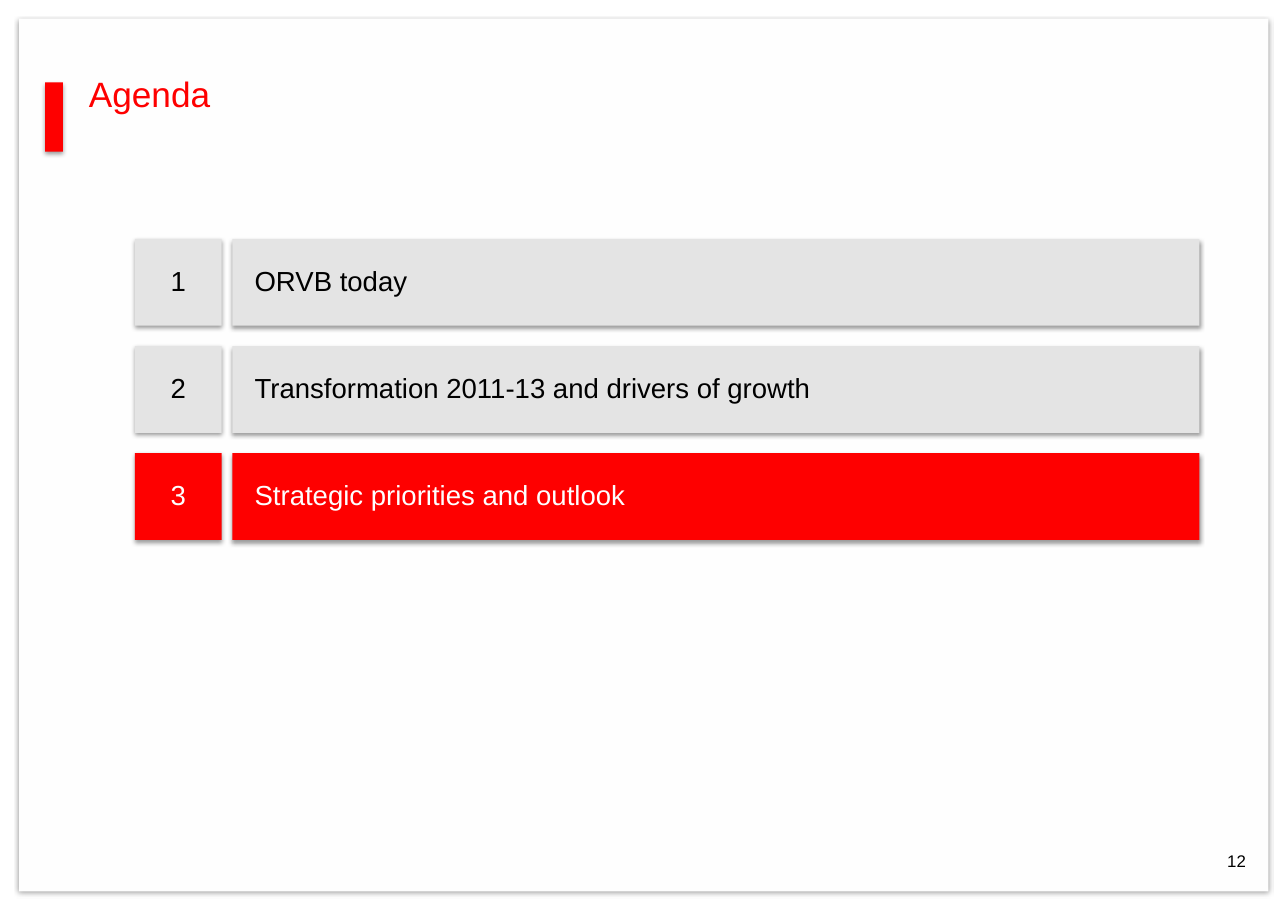
from pptx import Presentation
from pptx.dml.color import RGBColor
from pptx.enum.shapes import MSO_SHAPE as SHAPE
from pptx.enum.text import MSO_ANCHOR as ANCHOR, PP_ALIGN as ALIGN
from pptx.oxml import parse_xml
from pptx.oxml.ns import nsdecls
from pptx.util import Cm, Pt

RED, GREY, OFF_WHITE, BLACK = "FE0000", "E4E4E4", "FEFEFE", "000000"

# Agenda grid, in cm
TOP, PITCH, ROW_H = 5.51, 2.47, 2
NUMBER_X, ITEM_X, ITEM_W = 3.11, 5.36, 22.29
ITEM_INSET, TEXT_LIFT = 0.51, 0.09

ITEMS = ["ORVB today",
         "Transformation 2011-13 and drivers of growth",
         "Strategic priorities and outlook"]
CURRENT = 3


def rgb(hex_color):
    return RGBColor.from_string(hex_color)


def add_shadow(sp):
    sp.shadow.inherit = False
    effects = sp._element.spPr.find("{*}effectLst")
    effects.append(parse_xml(
        f'<a:outerShdw {nsdecls("a")} blurRad="{Pt(3.1)}" dist="{Pt(1.6)}" '
        'dir="5400000" algn="t" rotWithShape="0"><a:srgbClr val="000000">'
        '<a:alpha val="38000"/></a:srgbClr></a:outerShdw>'))


def set_text(sp, text, size, color, align=ALIGN.LEFT, inset=0, lift=0):
    tf = sp.text_frame
    tf.word_wrap = True
    tf.margin_left, tf.margin_bottom = Cm(inset), Cm(lift)
    tf.margin_right = tf.margin_top = 0
    p = tf.paragraphs[0]
    p.text = text
    p.alignment = align
    p.font.name = "Arial"
    p.font.size = Pt(size)
    p.font.color.rgb = rgb(color)


def add_block(s, x, y, w, h, fill):
    sp = s.shapes.add_shape(SHAPE.RECTANGLE, Cm(x), Cm(y), Cm(w), Cm(h))
    sp.fill.solid()
    sp.fill.fore_color.rgb = rgb(fill)
    sp.line.fill.background()
    add_shadow(sp)
    return sp


def add_label(s, x, y, w, h, text, size, color):
    sp = s.shapes.add_textbox(Cm(x), Cm(y), Cm(w), Cm(h))
    set_text(sp, text, size, color)


def add_agenda_row(s, number, item):
    y = TOP + (number - 1) * PITCH
    fill, color = (RED, OFF_WHITE) if number == CURRENT else (GREY, BLACK)
    number_box = add_block(s, NUMBER_X, y, ROW_H, ROW_H, fill)
    item_box = add_block(s, ITEM_X, y, ITEM_W, ROW_H, fill)
    set_text(number_box, str(number), 18, color, ALIGN.CENTER, lift=TEXT_LIFT)
    set_text(item_box, item, 18, color, inset=ITEM_INSET, lift=TEXT_LIFT)
    for sp in (number_box, item_box):
        sp.text_frame.vertical_anchor = ANCHOR.MIDDLE


def main():
    prs = Presentation()
    prs.slide_width, prs.slide_height = Cm(29.69), Cm(20.98)
    s = prs.slides.add_slide(prs.slide_layouts[6])

    # Page panel and title
    add_block(s, 0.44, 0.43, 28.8, 20.12, OFF_WHITE)
    add_block(s, 1.04, 1.9, 0.41, 1.6, RED)
    add_label(s, 2.05, 1.66, 6, 0.95, "Agenda", 23, RED)

    # Agenda rows
    for number, item in enumerate(ITEMS, 1):
        add_agenda_row(s, number, item)

    # Page number
    add_label(s, 28.29, 19.62, 0.8, 0.45, "12", 11, BLACK)

    prs.save("out.pptx")


main()
